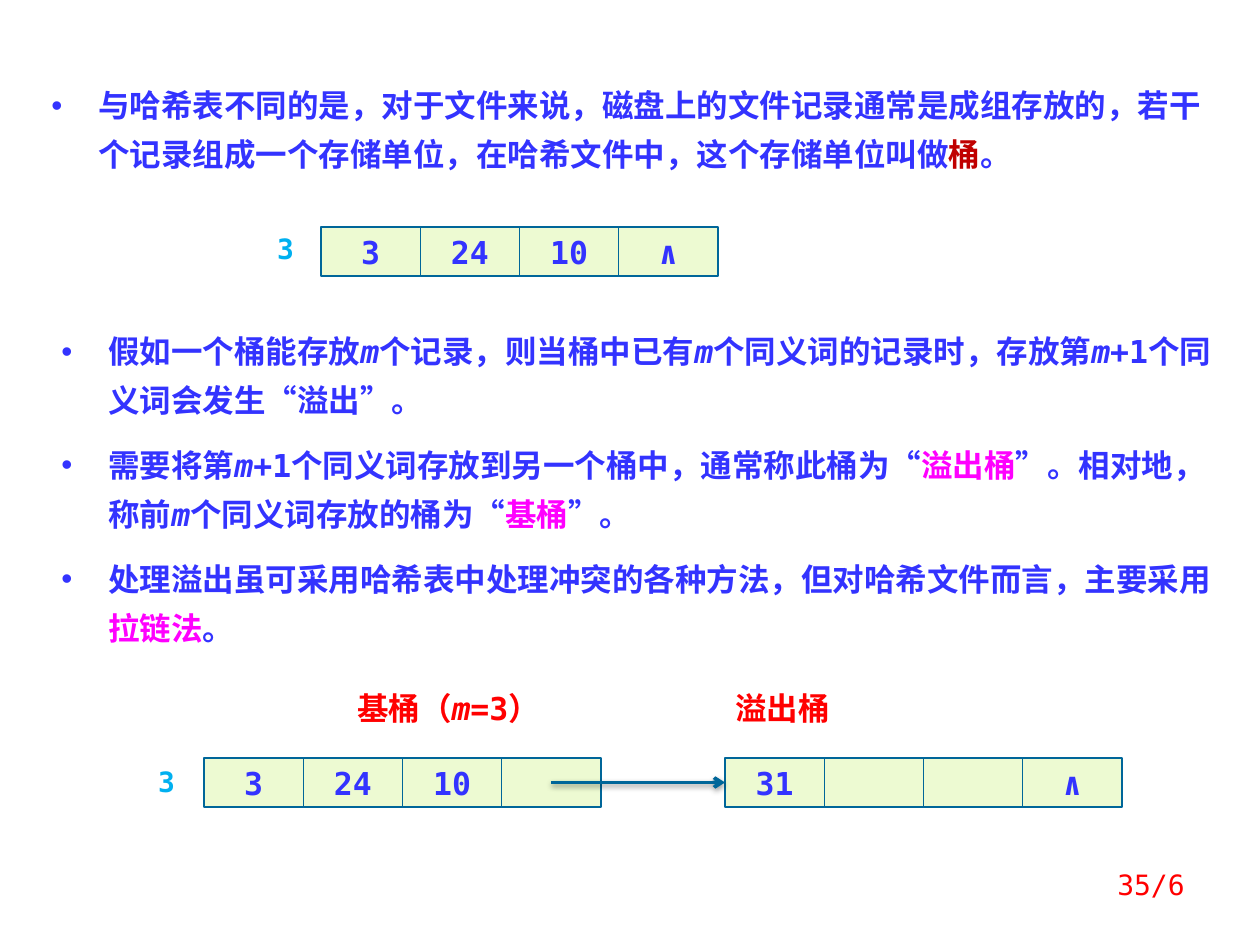
from lxml.etree import SubElement
from pptx import Presentation
from pptx.dml.color import RGBColor
from pptx.enum.shapes import MSO_CONNECTOR as Connector, MSO_SHAPE as Shape
from pptx.enum.text import MSO_ANCHOR as Anchor, PP_ALIGN as Align
from pptx.oxml import parse_xml
from pptx.oxml.ns import nsdecls, qn
from pptx.util import Pt

MONO, CJK = "DejaVu Sans Mono", "Noto Sans CJK JP"
BLUE, DARK_RED, MAGENTA, RED, CYAN = "3333FF", "C00000", "FF00FF", "FF0000", "00B0F0"
CELL_FILL, CELL_LINE = "EDFAD2", "006699"

# Content: a run is plain text or (text, changes of style)
M = ("m", {"italic": True})
KEY = {"color": MAGENTA}

BULLETS = [
    ((39, 69, 1176, 108), [
        ["与哈希表不同的是，对于文件来说，磁盘上的文件记录通常是成组存放的，"
         "若干个记录组成一个存储单位，在哈希文件中，这个存储单位叫做",
         ("桶", {"color": DARK_RED, "name": CJK}), "。"],
    ]),
    ((49, 315, 1176, 354), [
        ["假如一个桶能存放", M, "个记录，则当桶中已有", M, "个同义词的记录时，存放第", M,
         "+1个同义词会发生“溢出”。"],
        ["需要将第", M, "+1个同义词存放到另一个桶中，通常称此桶为“", ("溢出桶", KEY),
         "”。相对地，称前", M, "个同义词存放的桶为“", ("基桶", KEY), "”。"],
        ["处理溢出虽可采用哈希表中处理冲突的各种方法，但对哈希文件而言，主要采用",
         ("拉链法", KEY), "。"],
    ]),
]

BUCKETS = {  # left, top, records
    "example": (321, 227, ["3", "24", "10", "∧"]),
    "base": (204, 758, ["3", "24", "10", ""]),
    "overflow": (725, 758, ["31", "", "", "∧"]),
}
BUCKET_W, BUCKET_H = 397, 49

LABELS = [  # box, runs, size, colour
    ((256, 232, 59, 34), ["3"], 16, CYAN),
    ((137, 765, 59, 34), ["3"], 16, CYAN),
    ((335, 689, 227, 38), ["基桶（", M, "=3）"], 18, RED),
    ((718, 689, 129, 38), ["溢出桶"], 18, RED),
]
PAGE_NUMBER = ((903, 861, 294, 63), ["35/6"])


def px(n):
    return round(n * 914400 / 126)


def rgb(value):
    return RGBColor.from_string(value)


def style(run, size=18, color=BLUE, bold=True, italic=False, name=MONO):
    font = run.font
    font.size, font.bold, font.italic, font.name = Pt(size), bold, italic, name
    font.color.rgb = rgb(color)
    SubElement(font._element, qn("a:ea"), typeface=CJK)


def write(paragraph, runs, **base):
    for item in runs:
        text, changes = (item, {}) if isinstance(item, str) else item
        run = paragraph.add_run()
        run.text = text
        style(run, **{**base, **changes})


def add_text(box):
    frame = slide.shapes.add_textbox(*map(px, box)).text_frame
    frame.word_wrap = True
    return frame


def add_bullets(box, items):
    frame = add_text(box)
    for i, runs in enumerate(items):
        paragraph = frame.add_paragraph() if i else frame.paragraphs[0]
        paragraph.line_spacing = Pt(28)
        if i:
            paragraph.space_before = Pt(9)
        props = paragraph._p.get_or_add_pPr()
        props.set("marL", str(px(47)))
        props.set("indent", str(-px(47)))
        SubElement(props, qn("a:buFont"), typeface="Arial")
        SubElement(props, qn("a:buChar"), char="•")
        write(paragraph, runs)


def add_label(box, runs, size, color):
    frame = add_text(box)
    frame.margin_left = frame.margin_right = frame.margin_top = frame.margin_bottom = 0
    frame.paragraphs[0].alignment = Align.CENTER
    write(frame.paragraphs[0], runs, size=size, color=color)


def add_bucket(left, top, records):
    cell_w = BUCKET_W / len(records)
    cells = []
    for i, record in enumerate(records):
        cell = slide.shapes.add_shape(Shape.RECTANGLE, px(left + i * cell_w), px(top),
                                      px(cell_w), px(BUCKET_H))
        cell.shadow.inherit = False
        cell.fill.solid()
        cell.fill.fore_color.rgb = rgb(CELL_FILL)
        cell.line.color.rgb = rgb(CELL_LINE)
        cell.line.width = Pt(0.75)
        if record:
            frame = cell.text_frame
            frame.word_wrap = False
            frame.vertical_anchor = Anchor.MIDDLE
            frame.text = record
            frame.paragraphs[0].alignment = Align.CENTER
            style(frame.paragraphs[0].runs[0])
        cells.append(cell)
    return cells


def add_overflow_link(start, target):
    y = target.top + target.height // 2
    link = slide.shapes.add_connector(Connector.STRAIGHT, start, y, target.left, y)
    link.end_connect(target, 1)
    link.line.color.rgb = rgb(CELL_LINE)
    link.line.width = Pt(2)
    SubElement(link.line._get_or_add_ln(), qn("a:tailEnd"), type="arrow")
    link._element.spPr.append(parse_xml(
        f'<a:effectLst {nsdecls("a")}>'
        '<a:outerShdw blurRad="40000" dist="20000" dir="5400000" rotWithShape="0">'
        '<a:srgbClr val="000000"><a:alpha val="38000"/></a:srgbClr>'
        '</a:outerShdw></a:effectLst>'))


deck = Presentation()
deck.slide_width, deck.slide_height = px(1260), px(945)
slide = deck.slides.add_slide(deck.slide_layouts[6])

# Explanation
for box, items in BULLETS:
    add_bullets(box, items)

# Buckets, their labels and the link to the overflow bucket
buckets = {role: add_bucket(*bucket) for role, bucket in BUCKETS.items()}
for label in LABELS:
    add_label(*label)
pointer = buckets["base"][-1]
add_overflow_link(pointer.left + pointer.width // 2, buckets["overflow"][0])

# Page number
box, runs = PAGE_NUMBER
page = add_text(box).paragraphs[0]
page.alignment = Align.RIGHT
write(page, runs, size=16, color=RED, bold=False)

deck.save("out.pptx")
